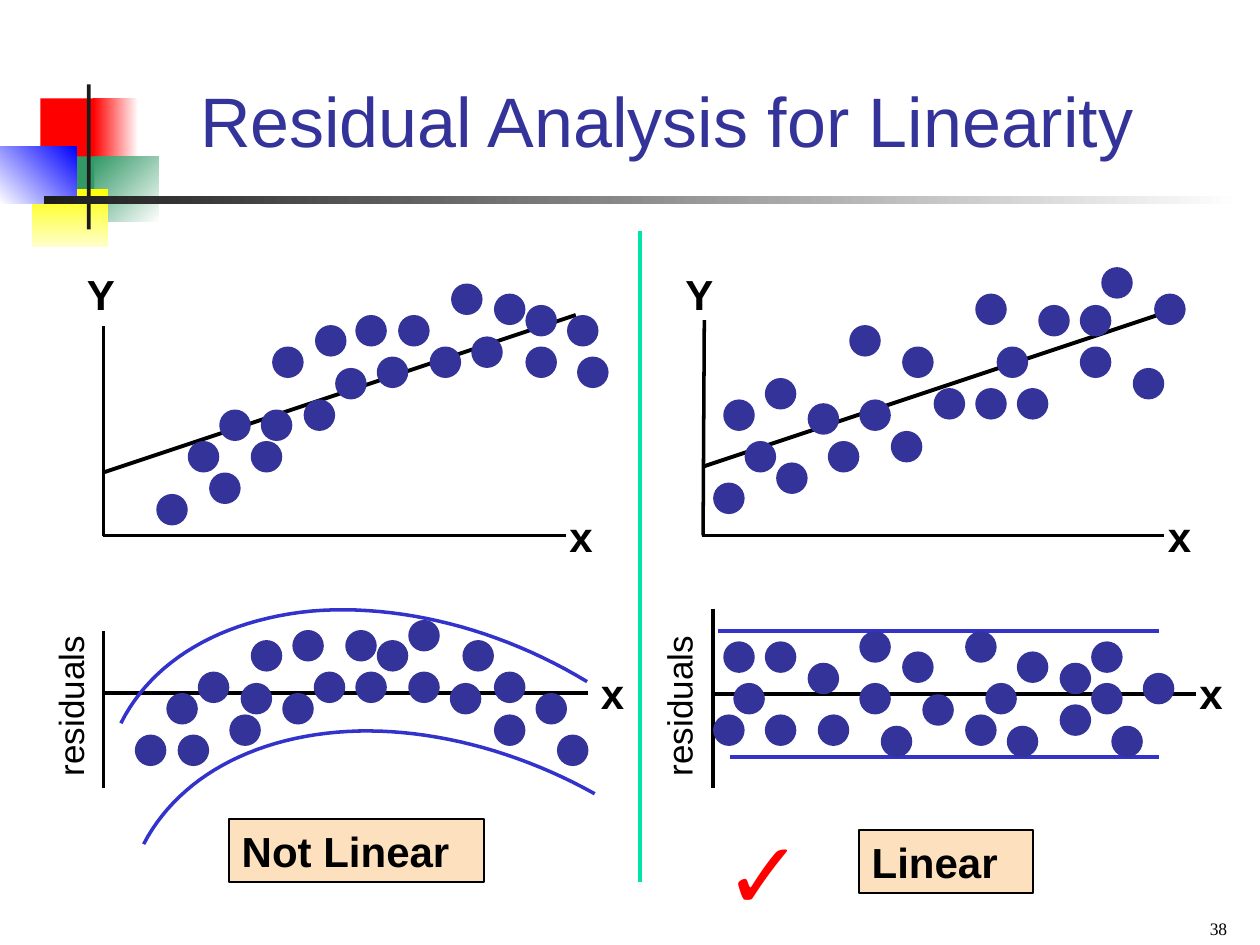
from lxml import etree
from pptx import Presentation
from pptx import util as u
from pptx.dml.color import RGBColor
from pptx.enum import shapes, text
from pptx.oxml.ns import qn

BLACK = RGBColor(0x00, 0x00, 0x00)
CHARCOAL = RGBColor(0x1C, 0x1C, 0x1C)
WHITE = RGBColor(0xFF, 0xFF, 0xFF)
RED = RGBColor(0xFF, 0x00, 0x00)
GREEN = RGBColor(0x33, 0x99, 0x66)
YELLOW = RGBColor(0xFF, 0xFF, 0x00)
PALE_YELLOW = RGBColor(0xFF, 0xFF, 0xCC)
BLUE = RGBColor(0x00, 0x00, 0xFF)
NAVY = RGBColor(0x33, 0x33, 0x99)
BAND_BLUE = RGBColor(0x33, 0x33, 0xCC)
PEACH = RGBColor(0xFD, 0xE0, 0xBD)
MINT = RGBColor(0x00, 0xE4, 0xA8)

presentation = Presentation()
presentation.slide_width = u.Inches(10)
presentation.slide_height = u.Inches(7.5)
slide = presentation.slides.add_slide(presentation.slide_layouts[6])


def add_line(start, end, color=BLACK, width=2):
    line = slide.shapes.add_connector(
        shapes.MSO_CONNECTOR.STRAIGHT, *(u.Inches(v) for v in start + end))
    line.line.color.rgb = color
    line.line.width = u.Pt(width)
    etree.SubElement(line._element.spPr, qn("a:effectLst"))


def write_text(shape, words, wrap=True, anchor=text.MSO_ANCHOR.TOP,
               align=text.PP_ALIGN.LEFT, margin=0.1, **font_values):
    frame = shape.text_frame
    frame_values = {
        "word_wrap": wrap, "vertical_anchor": anchor,
        "margin_left": u.Inches(margin), "margin_right": u.Inches(margin),
        "margin_top": u.Inches(0.05), "margin_bottom": u.Inches(0.05)}
    for name, value in frame_values.items():
        setattr(frame, name, value)
    paragraph = frame.paragraphs[0]
    paragraph.text = words
    paragraph.alignment = align
    values = {"name": "Arial", "size": u.Pt(24), "bold": True, "color": BLACK}
    values.update(font_values)
    paragraph.font.color.rgb = values.pop("color")
    for name, value in values.items():
        setattr(paragraph.font, name, value)


# Corner ornament and title rule: box, colours, clockwise gradient angle
ornament = [
    ((0.32, 0.78, 0.48, 0.52), (RED,), 0),
    ((0.74, 0.78, 0.36, 0.52), (WHITE, RED), 180),
    ((0.75, 1.24, 0.51, 0.52), (WHITE, GREEN), 225),
    ((0.43, 1.24, 0.32, 0.52), (GREEN,), 0),
    ((0.25, 1.5, 0.61, 0.46), (YELLOW, PALE_YELLOW), 90),
    ((0, 1.16, 0.61, 0.46), (BLUE, WHITE), 135),
    ((0.69, 0.67, 0.03, 1.15), (CHARCOAL,), 0),
    ((0.35, 1.56, 9.51, 0.06), (WHITE, CHARCOAL), 180),
]
for box, colors, angle in ornament:
    block = slide.shapes.add_shape(
        shapes.MSO_SHAPE.RECTANGLE, *(u.Inches(v) for v in box))
    block.shadow.inherit = False
    block.line.fill.background()
    if len(colors) == 1:
        block.fill.solid()
        block.fill.fore_color.rgb = colors[0]
    else:
        block.fill.gradient()
        block.fill.gradient_angle = 360 - angle
        for stop, color, position in zip(block.fill.gradient_stops, colors, (0, 1)):
            stop.color.rgb = color
            stop.position = position

# Title
title = slide.shapes.add_textbox(*(u.Inches(v) for v in (1.42, 0.25, 7.74, 1.08)))
write_text(title, "Residual Analysis for Linearity", anchor=text.MSO_ANCHOR.BOTTOM,
           align=text.PP_ALIGN.CENTER, margin=0.09, size=u.Pt(40), bold=False, color=NAVY)

# Axes of the scatter plots and residual plots
for start, end in [
    ((0.82, 2.59), (0.82, 4.25)), ((0.82, 4.25), (4.49, 4.25)),
    ((5.59, 2.54), (5.58, 4.25)), ((5.57, 4.25), (9.24, 4.25)),
    ((0.82, 5.01), (0.82, 6.25)), ((0.82, 5.5), (4.67, 5.5)),
    ((5.66, 4.83), (5.66, 6.25)), ((5.66, 5.51), (9.49, 5.51)),
]:
    add_line(start, end)

# Regression lines
add_line((0.82, 3.75), (4.57, 2.5), width=2.25)
add_line((5.59, 3.7), (9.34, 2.45), width=2.25)

# Straight band around the linear residuals
add_line((5.7, 5.01), (9.2, 5.01), BAND_BLUE)
add_line((5.79, 6.01), (9.2, 6.01), BAND_BLUE)

# Curved band around the non-linear residuals: two Bezier spans each
bands = [
    [(0.96, 5.74), (1.21, 5.24), (1.76, 4.92), (2.47, 4.85),
     (3.17, 4.79), (3.97, 4.99), (4.66, 5.41)],
    [(1.14, 6.7), (1.39, 6.22), (1.91, 5.9), (2.59, 5.82),
     (3.26, 5.74), (4.04, 5.92), (4.72, 6.3)],
]
STEPS = 24
for controls in bands:
    curve = [tuple(u.Inches(v) for v in controls[0])]
    for first in (0, 3):
        span = controls[first:first + 4]
        for step in range(1, STEPS + 1):
            t = step / STEPS
            weights = ((1 - t) ** 3, 3 * t * (1 - t) ** 2, 3 * t * t * (1 - t), t ** 3)
            curve.append(tuple(
                u.Inches(sum(w * point[axis] for w, point in zip(weights, span)))
                for axis in (0, 1)))
    builder = slide.shapes.build_freeform(*curve[0])
    builder.add_line_segments(curve[1:], close=False)
    band = builder.convert_to_shape()
    band.shadow.inherit = False
    band.fill.background()
    band.line.color.rgb = BAND_BLUE
    band.line.width = u.Pt(2)

# Data points, by left and top
curved_scatter = [
    (1.24, 3.92), (1.66, 3.75), (3.16, 2.5), (3.41, 2.75), (3.92, 2.33), (1.99, 3.5),
    (3.74, 2.67), (4.17, 2.75), (4.17, 2.42), (4.5, 2.5), (3.58, 2.25), (2.66, 2.92),
    (2.82, 2.5), (2.5, 2.58), (1.49, 3.5), (1.74, 3.25), (2.07, 3.25), (2.99, 2.83),
    (2.16, 2.75), (4.58, 2.83), (2.41, 3.17)]
linear_scatter = [
    (5.66, 3.83), (5.91, 3.5), (7.74, 2.33), (7.91, 2.75), (8.57, 2.42), (6.16, 3.67),
    (8.07, 3.08), (8.57, 2.75), (8.74, 2.12), (8.24, 2.42), (7.07, 3.42), (7.16, 2.75),
    (6.74, 2.58), (5.74, 3.17), (6.07, 3), (6.41, 3.2), (7.41, 3.08), (6.82, 3.17),
    (8.99, 2.92), (6.57, 3.5), (9.16, 2.33), (7.74, 3.08)]
curved_residuals = [
    (1.07, 5.83), (1.41, 5.83), (2.99, 5.08), (3.24, 4.92), (3.57, 5.42), (1.82, 5.67),
    (3.67, 5.08), (3.92, 5.67), (3.92, 5.33), (4.25, 5.5), (3.24, 5.33), (2.49, 5.33),
    (2.74, 5), (2.32, 5), (1.32, 5.5), (1.57, 5.33), (1.91, 5.42), (2.82, 5.33),
    (1.99, 5.08), (4.42, 5.83), (2.24, 5.5)]
linear_residuals = [
    (6.41, 5.26), (6.07, 5.09), (5.66, 5.67), (5.82, 5.42), (5.74, 5.09), (6.82, 5.42),
    (6.82, 5.01), (6.07, 5.67), (7.66, 5.01), (7.16, 5.17), (6.99, 5.76), (6.49, 5.67),
    (8.41, 5.26), (7.66, 5.67), (7.32, 5.51), (8.41, 5.59), (7.82, 5.42), (7.99, 5.76),
    (8.07, 5.17), (8.82, 5.76), (8.66, 5.09), (9.07, 5.34), (8.66, 5.42)]
for left, top in curved_scatter + linear_scatter + curved_residuals + linear_residuals:
    dot = slide.shapes.add_shape(
        shapes.MSO_SHAPE.OVAL, *(u.Inches(v) for v in (left, top, 0.25, 0.25)))
    dot.shadow.inherit = False
    dot.fill.solid()
    dot.fill.fore_color.rgb = NAVY
    dot.line.fill.background()

# Axis labels
for words, left, top, width in [
    ("Y", 0.59, 2.08, 0.42), ("Y", 5.34, 2.08, 0.42),
    ("x", 4.42, 4, 0.51), ("x", 9.17, 4, 0.43),
    ("x", 4.67, 5.25, 0.42), ("x", 9.42, 5.25, 0.44),
]:
    label = slide.shapes.add_textbox(*(u.Inches(v) for v in (left, top, width, 0.5)))
    write_text(label, words, wrap=words != "Y")
for left in (-0.16, 4.67):
    label = slide.shapes.add_textbox(*(u.Inches(v) for v in (left, 5.33, 1.43, 0.43)))
    label.rotation = 270
    write_text(label, "residuals", size=u.Pt(20), bold=False)

# Verdicts and check mark
for words, left, top, width in [("Not Linear", 1.82, 6.5, 2.02), ("Linear", 6.82, 6.59, 1.38)]:
    verdict = slide.shapes.add_shape(
        shapes.MSO_SHAPE.RECTANGLE, *(u.Inches(v) for v in (left, top, width, 0.5)))
    verdict.shadow.inherit = False
    verdict.fill.solid()
    verdict.fill.fore_color.rgb = PEACH
    verdict.line.color.rgb = BLACK
    verdict.line.width = u.Pt(1)
    write_text(verdict, words)
check = slide.shapes.add_textbox(*(u.Inches(v) for v in (5.65, 6.42, 1.43, 1)))
write_text(check, "✓", size=u.Pt(54), bold=False, color=RED)

# Divider and slide number
add_line((5.08, 1.83), (5.08, 7), MINT, 2.25)
number = slide.shapes.add_textbox(*(u.Inches(v) for v in (7.5, 7.15, 2.33, 0.35)))
write_text(number, "38", anchor=text.MSO_ANCHOR.BOTTOM, align=text.PP_ALIGN.RIGHT,
           margin=0.09, name="Times New Roman", size=u.Pt(10), bold=False)

presentation.save("out.pptx")
